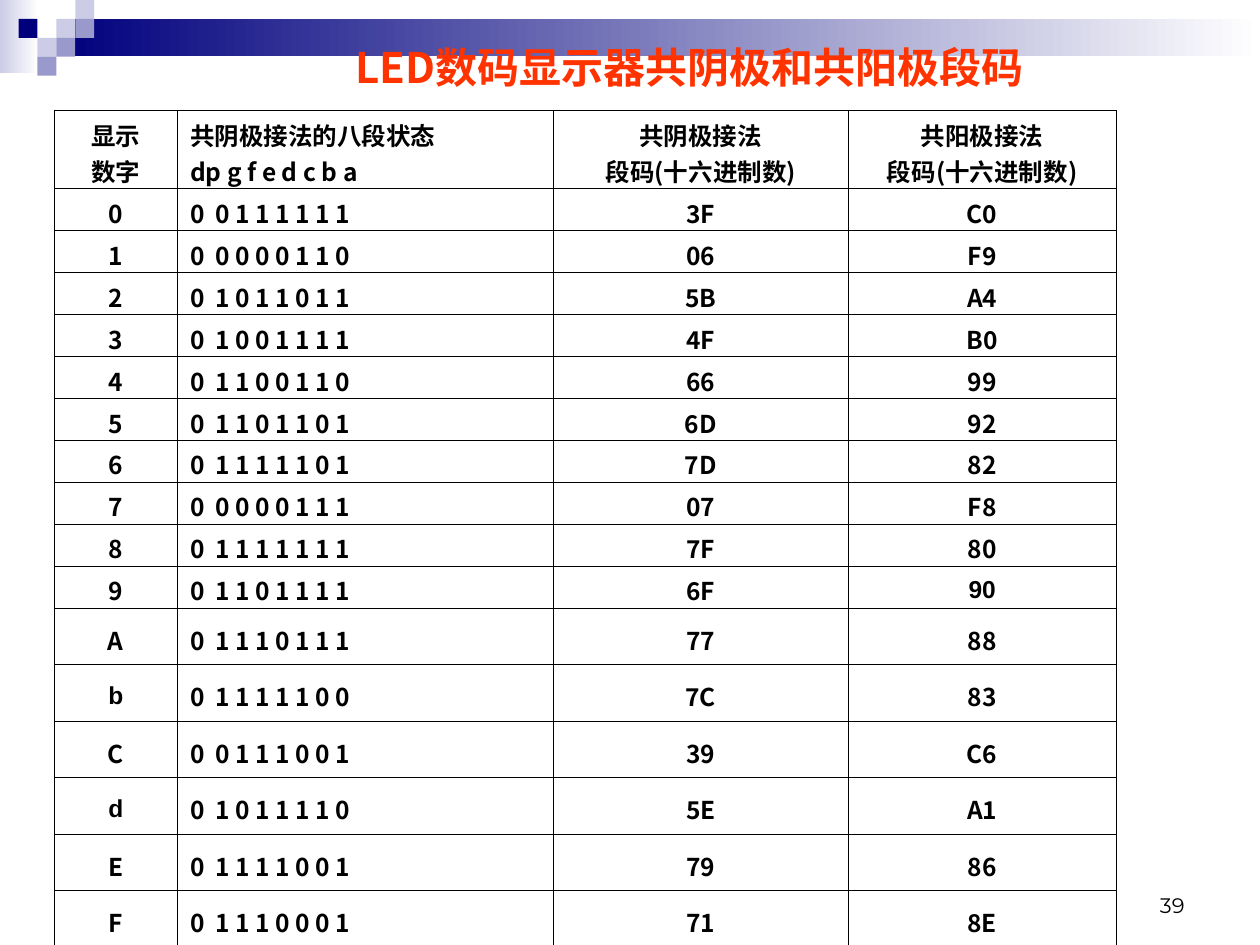
from lxml.etree import SubElement
from pptx import Presentation
from pptx.dml.color import RGBColor
from pptx.enum.shapes import MSO_SHAPE
from pptx.enum.text import MSO_ANCHOR, MSO_AUTO_SIZE, PP_ALIGN
from pptx.oxml import parse_xml
from pptx.oxml.ns import nsdecls, qn
from pptx.util import Pt

NAVY = RGBColor(0x00, 0x00, 0x7D)
LILAC = RGBColor(0xCC, 0xCC, 0xE6)
VIOLET = RGBColor(0x99, 0x99, 0xCC)
WHITE = RGBColor(0xFF, 0xFF, 0xFF)
BLACK = RGBColor(0x00, 0x00, 0x00)
RED = RGBColor(0xFF, 0x33, 0x00)
CJK = "Noto Sans CJK SC"


def write(p, text, size=14, font=CJK, color=BLACK, bold=True, align=PP_ALIGN.CENTER):
    p.alignment = align
    p.space_before = Pt(0)
    r = p.add_run()
    r.text = text
    r.font.size = Pt(size)
    r.font.name = font
    r.font.bold = bold
    r.font.color.rgb = color
    SubElement(r.font._element, qn("a:ea")).set("typeface", CJK)


def add_block(x, y, w, h, color, fade=False):
    """Add a borderless rectangle, plain or fading to white on the right."""
    sp = s.shapes.add_shape(MSO_SHAPE.RECTANGLE, Pt(x), Pt(y), Pt(w), Pt(h))
    sp.shadow.inherit = False
    sp.line.fill.background()
    if fade:
        sp.fill.gradient()
        sp.fill.gradient_angle = 0
        for stop, stop_color in zip(sp.fill.gradient_stops, (color, WHITE)):
            stop.color.rgb = stop_color
    else:
        sp.fill.solid()
        sp.fill.fore_color.rgb = color


prs = Presentation()
prs.slide_width, prs.slide_height = Pt(720), Pt(540)
s = prs.slides.add_slide(prs.slide_layouts[5])

# Banner: two fading bands and a staircase of squares
add_block(0, 0, 22, 41.8, LILAC, fade=True)
add_block(32.4, 10.8, 687.6, 21.3, NAVY, fade=True)
STEP = 10.8
for col, row, color in [(3, 1, LILAC), (4, 0, LILAC), (4, 1, VIOLET), (2, 2, LILAC),
                        (1, 1, NAVY), (3, 2, VIOLET), (2, 3, VIOLET)]:
    add_block(col * STEP - 0.2, row * STEP, STEP, STEP, color)

# Slide number
tb = s.shapes.add_textbox(Pt(516), Pt(492), Pt(168), Pt(36))
tf = tb.text_frame
tf.word_wrap = True
tf.vertical_anchor = MSO_ANCHOR.BOTTOM
write(tf.paragraphs[0], "39", size=12, font="Montserrat", bold=False, align=PP_ALIGN.RIGHT)

# Title, brought in front of the banner
title = s.shapes.title
title.left, title.top, title.width, title.height = Pt(172.8), Pt(20), Pt(447.8), Pt(36)
s.shapes._spTree.append(title._element)
tf = title.text_frame
tf.word_wrap = True
tf.auto_size = MSO_AUTO_SIZE.SHAPE_TO_FIT_TEXT
tf.vertical_anchor = MSO_ANCHOR.TOP
write(tf.paragraphs[0], "LED数码显示器共阴极和共阳极段码 ", size=24, color=RED)

# Segment codes: bits and common-anode code follow from the common-cathode code
HEADER = ["显示\n数字", "共阴极接法的八段状态\ndp g f e d c b a",
          "共阴极接法\n段码(十六进制数)", "共阳极接法\n段码(十六进制数)"]
CATHODE = [0x3F, 0x06, 0x5B, 0x4F, 0x66, 0x6D, 0x7D, 0x07,
           0x7F, 0x6F, 0x77, 0x7C, 0x39, 0x5E, 0x79, 0x71]
rows = [HEADER]
for digit, code in zip("0123456789AbCdEF", CATHODE):
    bits = f"{code:08b}"
    rows.append([digit, bits[0] + "  " + " ".join(bits[1:]), f"{code:02X}", f"{255 - code:02X}"])
ARIAL_TEXTS = {"共阴极接法的八段状态", "共阴极接法", "共阳极接法", "90", "b", "d"}

COL_WIDTHS = [70.4, 214.8, 168.6, 153]
ROW_HEIGHTS = [44.6] + [24] * 10 + [32.3] * 6
table = s.shapes.add_table(len(rows), len(HEADER), Pt(31), Pt(63),
                           Pt(sum(COL_WIDTHS)), Pt(sum(ROW_HEIGHTS))).table
for column, width in zip(table.columns, COL_WIDTHS):
    column.width = Pt(width)
for table_row, height in zip(table.rows, ROW_HEIGHTS):
    table_row.height = Pt(height)

for i, row in enumerate(rows):
    for j, text in enumerate(row):
        cell = table.cell(i, j)
        cell.vertical_anchor = MSO_ANCHOR.MIDDLE
        cell.margin_top, cell.margin_bottom = Pt(3.6), Pt(0)
        cell.fill.solid()
        cell.fill.fore_color.rgb = WHITE
        for k, side in enumerate("LRTB"):
            cell._tc.tcPr.insert(k, parse_xml(
                f'<a:ln{side} {nsdecls("a")} w="{Pt(0.45)}"><a:solidFill>'
                f'<a:srgbClr val="{BLACK}"/></a:solidFill></a:ln{side}>'))
        tf = cell.text_frame
        for k, line in enumerate(text.split("\n")):
            p = tf.add_paragraph() if k else tf.paragraphs[0]
            write(p, line, font="Arial" if line in ARIAL_TEXTS else CJK,
                  align=PP_ALIGN.LEFT if j == 1 else PP_ALIGN.CENTER)

prs.save("out.pptx")
